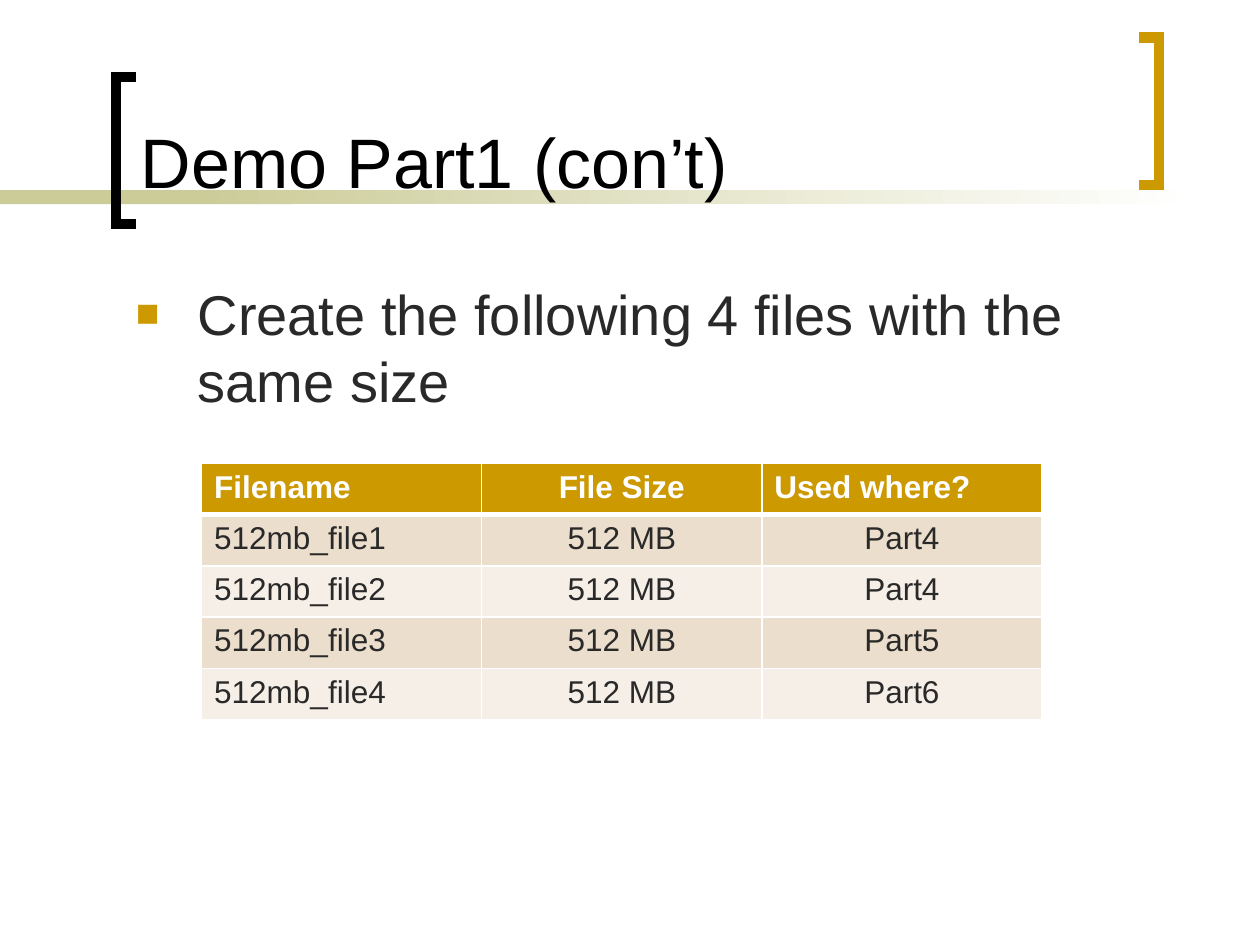
from lxml.etree import SubElement
from pptx import Presentation
from pptx.dml.color import RGBColor
from pptx.enum.shapes import MSO_SHAPE
from pptx.enum.text import MSO_ANCHOR, PP_ALIGN
from pptx.oxml.ns import qn
from pptx.util import Inches, Pt

GOLD, OLIVE, WHITE, BLACK, TEXT = "CC9900", "CCCC99", "FFFFFF", "000000", "292929"
BAND_COLORS = ("ECDECC", "F6EFE7")
FILES = [
    ("Filename", "File Size", "Used where?"),
    ("512mb_file1", "512 MB", "Part4"),
    ("512mb_file2", "512 MB", "Part4"),
    ("512mb_file3", "512 MB", "Part5"),
    ("512mb_file4", "512 MB", "Part6"),
]


def rgb(color):
    return RGBColor.from_string(color)


def set_font(paragraph, size, color, bold=False):
    font = paragraph.font
    font.name = "Arial"
    font.size = Pt(size)
    font.bold = bold
    font.color.rgb = rgb(color)


def add_bar(slide, left, width, start_color, end_color):
    """Add a part of the rule under the title, fading from left to right."""
    bar = slide.shapes.add_shape(
        MSO_SHAPE.RECTANGLE, Inches(left), Inches(1.51), Inches(width), Inches(0.11))
    bar.shadow.inherit = False
    bar.line.fill.background()
    if start_color == end_color:
        bar.fill.solid()
        bar.fill.fore_color.rgb = rgb(start_color)
        return
    bar.fill.gradient()
    bar.fill.gradient_angle = 0
    for stop, position, color in zip(bar.fill.gradient_stops, (0, 1), (start_color, end_color)):
        stop.position = position
        stop.color.rgb = rgb(color)


def add_bracket(slide, tip, spine, top, color):
    """Add a square bracket whose arms run from x = spine to x = tip."""
    bottom = top + 1.17
    points = [(Inches(x), Inches(y))
              for x, y in ((tip, top), (spine, top), (spine, bottom), (tip, bottom))]
    builder = slide.shapes.build_freeform(*points[0], scale=1.0)
    builder.add_line_segments(points[1:], close=False)
    bracket = builder.convert_to_shape()
    bracket.shadow.inherit = False
    bracket.fill.background()
    bracket.line.color.rgb = rgb(color)
    bracket.line.width = Pt(6)
    SubElement(bracket.line._get_or_add_ln(), qn("a:miter"), lim="800000")


def add_text(slide, left, top, width, height, text, size, color, anchor):
    box = slide.shapes.add_textbox(Inches(left), Inches(top), Inches(width), Inches(height))
    frame = box.text_frame
    frame.word_wrap = True
    frame.vertical_anchor = anchor
    paragraph = frame.paragraphs[0]
    paragraph.text = text
    set_font(paragraph, size, color)
    return paragraph


def add_bullet(paragraph):
    paragraph.space_before = Pt(6)
    properties = paragraph._p.get_or_add_pPr()
    properties.set("marL", str(Inches(0.49)))
    properties.set("indent", str(Inches(-0.49)))
    bullet_color = SubElement(properties, qn("a:buClr"))
    SubElement(bullet_color, qn("a:srgbClr"), val=GOLD)
    SubElement(properties, qn("a:buSzPct"), val="70000")
    SubElement(properties, qn("a:buFont"), typeface="Arial")
    SubElement(properties, qn("a:buChar"), char="■")


def set_borders(cell, top, bottom):
    """Draw white cell borders; top and bottom are widths in points."""
    properties = cell._tc.get_or_add_tcPr()
    sides = (("lnL", 1), ("lnR", 1), ("lnT", top), ("lnB", bottom))
    for position, (side, width) in enumerate(sides):
        line = SubElement(properties, qn(f"a:{side}"), w=str(Pt(width)))
        fill = SubElement(line, qn("a:solidFill"))
        SubElement(fill, qn("a:srgbClr"), val=WHITE)
        properties.insert(position, line)


def add_file_table(slide):
    table = slide.shapes.add_table(
        len(FILES), len(FILES[0]), Inches(1.6), Inches(3.68), Inches(6.67), Inches(2.03)).table
    for row, values in enumerate(FILES):
        header = row == 0
        for column, value in enumerate(values):
            cell = table.cell(row, column)
            cell.fill.solid()
            cell.fill.fore_color.rgb = rgb(GOLD if header else BAND_COLORS[(row - 1) % 2])
            set_borders(cell, top=3 if row == 1 else 1, bottom=3 if header else 1)
            paragraph = cell.text_frame.paragraphs[0]
            paragraph.text = value
            set_font(paragraph, 18, WHITE if header else TEXT, bold=header)
            if column == 1 or (column == 2 and not header):
                paragraph.alignment = PP_ALIGN.CENTER


def main():
    presentation = Presentation()
    presentation.slide_width = Inches(10)
    presentation.slide_height = Inches(7.5)
    slide = presentation.slides.add_slide(presentation.slide_layouts[6])

    add_bar(slide, 0, 2.33, OLIVE, OLIVE)
    add_bar(slide, 1.58, 7.92, OLIVE, WHITE)
    add_bracket(slide, 1.08, 0.92, 0.61, BLACK)
    add_bracket(slide, 9.04, 9.2, 0.3, GOLD)
    add_text(slide, 1.02, 0.11, 7.83, 1.55, "Demo Part1 (con’t)", 40, BLACK, MSO_ANCHOR.BOTTOM)
    add_bullet(add_text(slide, 0.98, 2.17, 8.27, 5.05,
                        "Create the following 4 files with the same size",
                        32, TEXT, MSO_ANCHOR.TOP))
    add_file_table(slide)
    presentation.save("out.pptx")


if __name__ == "__main__":
    main()
